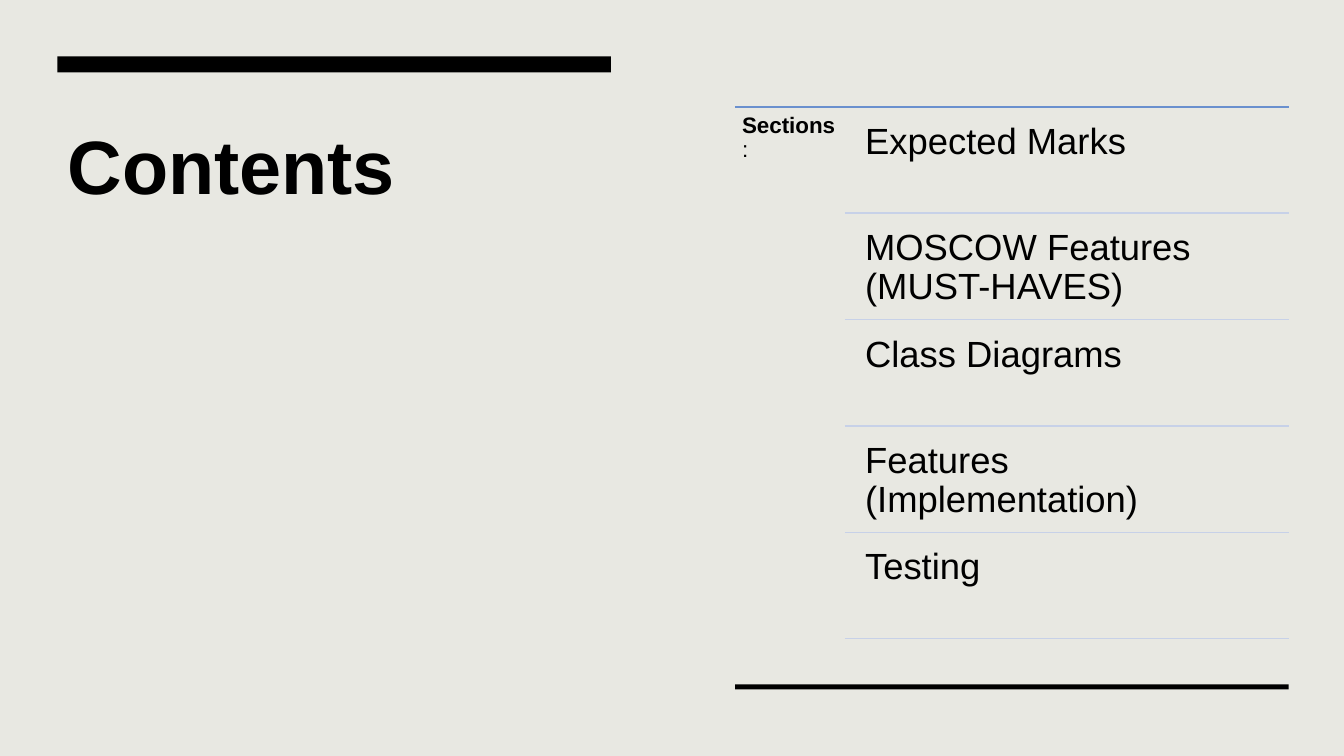
from lxml.etree import SubElement
from pptx import Presentation
from pptx.dml.color import RGBColor
from pptx.enum.shapes import MSO_CONNECTOR as CONN, MSO_SHAPE as SHAPE
from pptx.enum.text import MSO_ANCHOR as ANCHOR, PP_ALIGN as ALIGN
from pptx.oxml.ns import qn
from pptx.util import Inches, Pt

FONT = "Arial"
BLACK = "000000"
BACKGROUND = "E8E8E2"
TOP_RULE = "6A90CE"
ROW_RULE = "C7D1E8"

LEFT, RIGHT = 7.29, 12.78
RULE_LEFT, TEXT_LEFT = 8.38, 8.47
TOP, ROW_STEP, ROW_GAP = 1.06, 1.055, 0.05
BAR_WIDTH = 5.49

SECTIONS = [
    "Expected Marks",
    "MOSCOW Features (MUST-HAVES)",
    "Class Diagrams",
    "Features (Implementation)",
    "Testing",
]


def set_color(fmt, color):
    fmt.solid()
    fmt.fore_color.rgb = RGBColor.from_string(color)


def style_run(r, size, bold=False):
    r.font.name = FONT
    r.font.size = Pt(size)
    r.font.bold = bold
    set_color(r.font.fill, BLACK)


def add_title(s, text):
    sp = s.shapes.title
    sp.left, sp.top = Inches(0.57), Inches(1.07)
    sp.width, sp.height = Inches(BAR_WIDTH), Inches(2.68)
    tf = sp.text_frame
    tf.text = text
    tf.word_wrap = True
    tf.vertical_anchor = ANCHOR.TOP
    tf.margin_top = Inches(0.11)
    p = tf.paragraphs[0]
    p.alignment = ALIGN.LEFT
    style_run(p.runs[0], 54, True)


def add_bar(s, x, y, h):
    sp = s.shapes.add_shape(SHAPE.RECTANGLE, Inches(x), Inches(y),
                            Inches(BAR_WIDTH), Inches(h))
    sp.shadow.inherit = False
    set_color(sp.fill, BLACK)
    sp.line.fill.background()


def add_rule(s, x, y, color):
    ln = s.shapes.add_connector(CONN.STRAIGHT, Inches(x), Inches(y),
                                Inches(RIGHT), Inches(y))
    set_color(ln.line.fill, color)
    ln.line.width = Pt(1)
    SubElement(ln.element.spPr, qn("a:effectLst"))


def add_text(s, x, y, w, h, inset, size, runs):
    sp = s.shapes.add_textbox(Inches(x), Inches(y), Inches(w), Inches(h))
    tf = sp.text_frame
    tf.word_wrap = True
    tf.margin_left = tf.margin_right = Inches(inset)
    tf.margin_top = tf.margin_bottom = Inches(inset)
    p = tf.paragraphs[0]
    p.line_spacing = 0.9
    for text, bold in runs:
        r = p.add_run()
        r.text = text
        style_run(r, size, bold)


def add_sections(s):
    add_rule(s, LEFT, TOP, TOP_RULE)
    add_text(s, LEFT, TOP, 1.1, 5.33, 0.07, 16,
             [("Sections", True), (":", False)])
    for i, section in enumerate(SECTIONS):
        y = TOP + i * ROW_STEP
        add_text(s, TEXT_LEFT, y + ROW_GAP, RIGHT - TEXT_LEFT, 1, 0.11, 26,
                 [(section, False)])
        add_rule(s, RULE_LEFT, y + ROW_STEP, ROW_RULE)


def main():
    prs = Presentation()
    prs.slide_width, prs.slide_height = Inches(13.33), Inches(7.5)
    s = prs.slides.add_slide(prs.slide_layouts[5])
    set_color(s.background.fill, BACKGROUND)
    add_title(s, "Contents")
    add_bar(s, 0.57, 0.56, 0.16)
    add_bar(s, LEFT, 6.79, 0.05)
    add_sections(s)
    prs.save("out.pptx")


if __name__ == "__main__":
    main()
